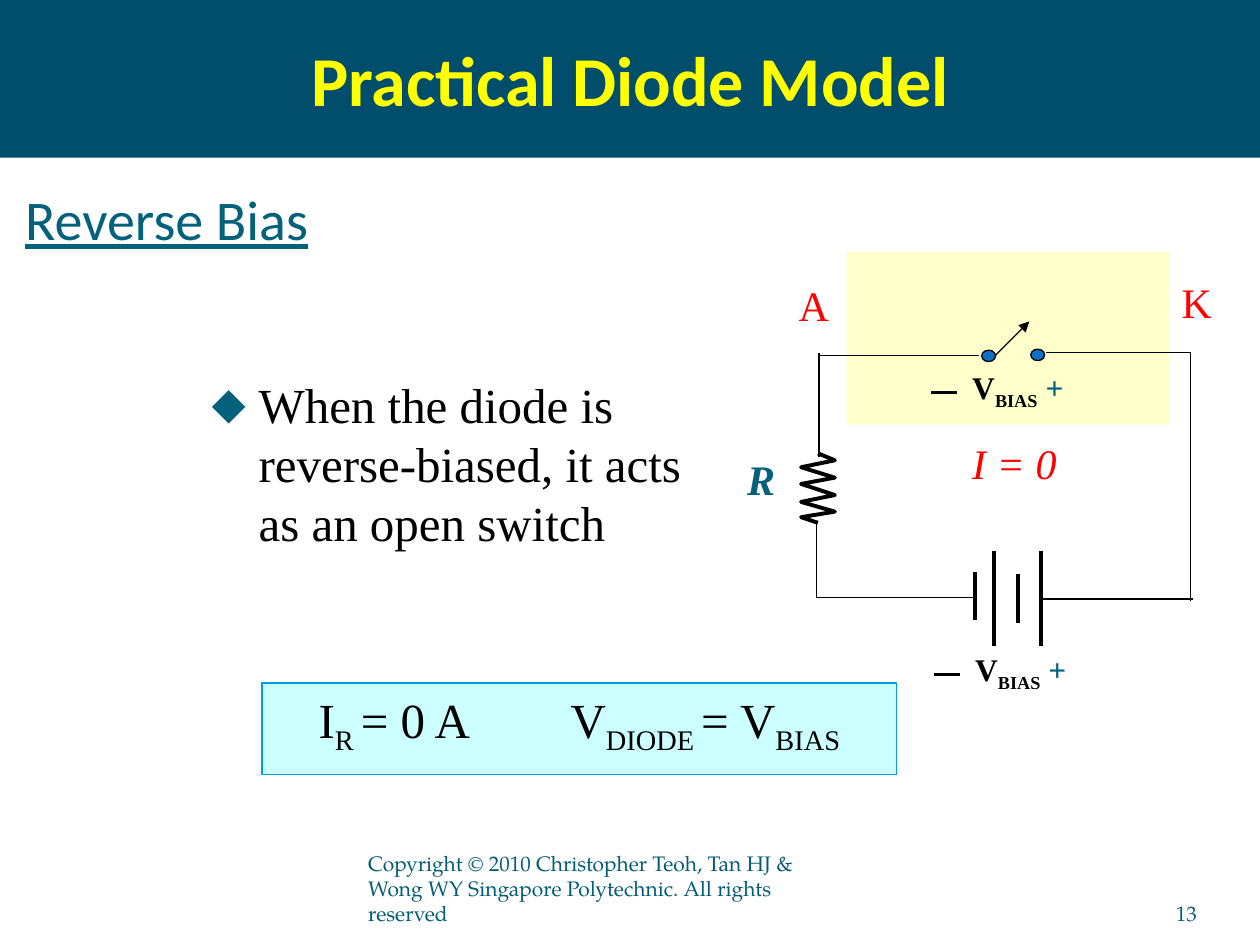
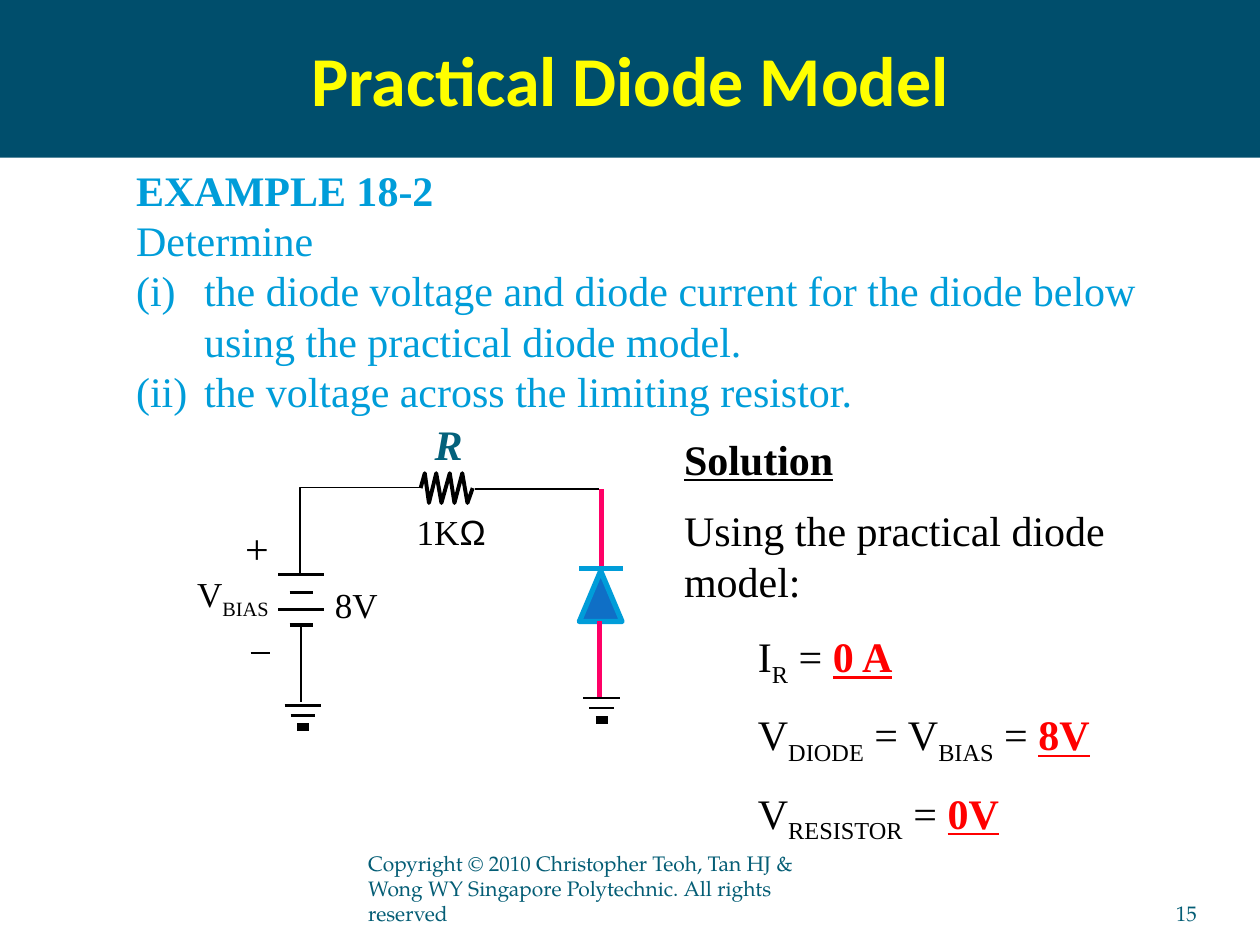
from lxml import etree
from pptx import Presentation
from pptx import util as u
from pptx.dml.color import RGBColor
from pptx.enum import shapes, text
from pptx.oxml.ns import qn

SERIF, SANS, FOOTER_FONT = "Times New Roman", "Calibri", "TeX Gyre Pagella"
BLACK, RED, YELLOW = "000000", "FF0000", "FFFF00"
BAND, TEAL, FOOTER_TEAL = "004E6C", "04617B", "045D75"
SKY, BLUE, PINK = "009DD9", "0F6FC6", "FF0066"
PALE_YELLOW, PALE_CYAN = "FFFFCC", "CCFFFF"

HEADING = "Practical Diode Model"
COPYRIGHT = ("Copyright © 2010 Christopher Teoh, Tan HJ & Wong WY "
             "Singapore Polytechnic. All rights reserved")
LEFT, CENTER, RIGHT = (text.PP_ALIGN.LEFT, text.PP_ALIGN.CENTER,
                       text.PP_ALIGN.RIGHT)
TOP, MIDDLE, BOTTOM = (text.MSO_ANCHOR.TOP, text.MSO_ANCHOR.MIDDLE,
                       text.MSO_ANCHOR.BOTTOM)
SUB = {"sub": True}
ANSWER = {"color": RED, "bold": True, "underline": True}
# Places along a resistor where its zigzag turns, as shares of its length
ZIGZAG = (0, 0.08, 0.16, 0.3, 0.4, 0.56, 0.65, 0.8, 0.9, 1)


def rgb(value):
    return RGBColor.from_string(value)


def cm(*lengths):
    return [u.Cm(length) for length in lengths]


def add_run(paragraph, wording, size=24, color=BLACK, font=SERIF, bold=False,
            italic=False, underline=False, sub=False):
    run = paragraph.add_run()
    run.text = wording
    run.font.size = u.Pt(size)
    run.font.name = font
    run.font.color.rgb = rgb(color)
    run.font.bold = bold
    run.font.italic = italic
    run.font.underline = underline
    if sub:
        run._r.get_or_add_rPr().set("baseline", "-25000")


def write(paragraph, parts, align=LEFT, before=0, **style):
    """Fill a paragraph; a part is a string or a (string, own style) pair."""
    paragraph.alignment = align
    paragraph.space_before = u.Pt(before)
    paragraph.space_after = u.Pt(0)
    for part in parts:
        wording, own = (part, {}) if isinstance(part, str) else part
        add_run(paragraph, wording, **{**style, **own})


def next_paragraph(frame):
    first = frame.paragraphs[0]
    return frame.add_paragraph() if first.runs else first


def set_indent(paragraph, left, first=0):
    props = paragraph._p.get_or_add_pPr()
    props.set("marL", str(u.Cm(left)))
    props.set("indent", str(u.Cm(first)))
    return props


def add_child(parent, tag, **attributes):
    return etree.SubElement(parent, qn(tag), attributes)


def place(shape, box):
    shape.left, shape.top, shape.width, shape.height = cm(*box)


def label(slide, box, parts, wrap=True, anchor=TOP, margins=None, **style):
    frame = slide.shapes.add_textbox(*cm(*box)).text_frame
    frame.word_wrap = wrap
    frame.auto_size = (text.MSO_AUTO_SIZE.NONE if wrap
                       else text.MSO_AUTO_SIZE.SHAPE_TO_FIT_TEXT)
    frame.vertical_anchor = anchor
    if margins:
        (frame.margin_left, frame.margin_top,
         frame.margin_right, frame.margin_bottom) = cm(*margins)
    if parts:
        write(frame.paragraphs[0], parts, **style)
    return frame


def preset(slide, kind, box, fill, line=None, width=0.75):
    shape = slide.shapes.add_shape(kind, *cm(*box))
    shape.shadow.inherit = False
    shape.fill.solid()
    shape.fill.fore_color.rgb = rgb(fill)
    if line:
        shape.line.color.rgb = rgb(line)
        shape.line.width = u.Pt(width)
    else:
        shape.line.fill.background()
    return shape


def wire(slide, x1, y1, x2, y2, width=0.75, color=BLACK, arrow=False):
    connector = slide.shapes.add_connector(
        shapes.MSO_CONNECTOR.STRAIGHT, *cm(x1, y1, x2, y2))
    connector.line.color.rgb = rgb(color)
    connector.line.width = u.Pt(width)
    if arrow:
        add_child(connector.line._get_or_add_ln(), "a:tailEnd",
                  type="triangle")
    add_child(connector._element.spPr, "a:effectLst")


def open_path(slide, points, width):
    start, *rest = [cm(*point) for point in points]
    builder = slide.shapes.build_freeform(*start)
    builder.add_line_segments(rest, close=False)
    path = builder.convert_to_shape()
    path.shadow.inherit = False
    path.fill.background()
    path.line.color.rgb = rgb(BLACK)
    path.line.width = u.Pt(width)


def resistor(slide, x1, y1, x2, y2, swing):
    """Draw a zigzag that first turns to the left of its direction."""
    length = abs(x2 - x1) + abs(y2 - y1)
    dx, dy = (x2 - x1) / length, (y2 - y1) / length
    points = []
    for i, share in enumerate(ZIGZAG):
        side = 0 if share in (0, 1) else swing if i % 2 else -swing
        along = share * length
        points.append((x1 + dx * along + dy * side,
                       y1 + dy * along - dx * side))
    open_path(slide, points, 2.25)


def resistor_name(slide, box):
    label(slide, box, ["R"], color=TEAL, bold=True, italic=True)


def bias_polarity(slide, x, y):
    """Write V BIAS with a plus after it and a minus bar before it."""
    label(slide, (x, y, 3.25, 1.02),
          ["V", ("BIAS", SUB), (" +", {"color": TEAL})], size=18, bold=True)
    wire(slide, x - 0.58, y + 0.62, x - 0.05, y + 0.62, 1.5)


def ground(slide, x, y):
    for drop, half, width in ((0, 0.37, 1.5), (0.2, 0.25, 1.5),
                              (0.44, 0.12, 4.5)):
        wire(slide, x - half, y + drop, x + half, y + drop, width)


def start_slide(prs, number):
    """Add a slide with the heading band and footers; return it and its body."""
    slide = prs.slides.add_slide(prs.slide_layouts[1])
    heading = slide.shapes.title
    place(heading, (0, 0, 25.4, 3.18))
    heading.fill.solid()
    heading.fill.fore_color.rgb = rgb(BAND)
    heading.text_frame.vertical_anchor = MIDDLE
    heading.text_frame.auto_size = text.MSO_AUTO_SIZE.NONE
    write(heading.text_frame.paragraphs[0], [HEADING], CENTER, size=40,
          color=YELLOW, font=SANS, bold=True)
    for box, wording, align in (((7.42, 17.65, 9.32, 1.02), COPYRIGHT, LEFT),
                                ((22.02, 17.65, 2.11, 1.02), number, RIGHT)):
        label(slide, box, [wording], anchor=BOTTOM, margins=(0, 0, 0, 0),
              align=align, size=12, color=FOOTER_TEAL, font=FOOTER_FONT)
    body = slide.placeholders[1]
    body.text_frame.auto_size = text.MSO_AUTO_SIZE.NONE
    body.text_frame.vertical_anchor = TOP
    return slide, body


def reverse_bias_circuit(slide):
    preset(slide, shapes.MSO_SHAPE.RECTANGLE, (17.07, 5.08, 6.5, 3.48),
           PALE_YELLOW)
    wire(slide, 20.98, 12.07, 24.05, 12.07, 1)
    wire(slide, 24, 7.11, 24, 12.12, 1)
    for x, top, bottom in ((19.66, 11.53, 12.5), (20.04, 11.1, 13.03),
                           (20.52, 11.58, 12.55), (20.98, 11.1, 13.03)):
        wire(slide, x, top, x, bottom, 2)
    wire(slide, 16.54, 7.16, 19.74, 7.16)
    wire(slide, 21.08, 7.11, 24, 7.11)
    for x, y in ((20.78, 7.04), (19.79, 7.06)):
        preset(slide, shapes.MSO_SHAPE.OVAL, (x, y, 0.28, 0.23), BLUE, BLACK)
    wire(slide, 20.07, 7.16, 20.75, 6.48, arrow=True)
    wire(slide, 16.51, 7.11, 16.51, 9.22, 1)
    resistor_name(slide, (14.81, 9.02, 1.27, 1.27))
    resistor(slide, 16.49, 10.54, 16.49, 9.14, 0.34)
    open_path(slide, [(16.46, 10.57), (16.46, 12.04), (19.61, 12.04)], 0.75)
    label(slide, (15.85, 5.51, 1.12, 1.27), ["A"], wrap=False, color=RED)
    label(slide, (23.57, 5.44, 1.12, 1.27), ["K"], wrap=False, color=RED)
    bias_polarity(slide, 19.41, 12.98)
    bias_polarity(slide, 19.35, 7.29)
    label(slide, (19.35, 8.69, 2.21, 1.27), ["I = 0"], wrap=False,
          color=RED, italic=True)


def reverse_bias_slide(prs):
    slide, body = start_slide(prs, "13")
    label(slide, (0.51, 3.43, 10.13, 1.65), ["Reverse Bias"], anchor=BOTTOM,
          margins=(0, 0.13, 0, 0), size=32, color=TEAL, font=SANS,
          underline=True)

    place(body, (4.01, 7.42, 10.36, 4.45))
    behaviour = body.text_frame.paragraphs[0]
    write(behaviour,
          ["When the diode is reverse-biased, it acts as an open switch"],
          size=28)
    props = set_indent(behaviour, 0.95, -0.95)
    add_child(add_child(props, "a:buClr"), "a:srgbClr", val=TEAL)
    add_child(props, "a:buChar", char="⬥")

    result = preset(slide, shapes.MSO_SHAPE.RECTANGLE,
                    (5.28, 13.77, 12.8, 1.85), PALE_CYAN, SKY).text_frame
    result.vertical_anchor = TOP
    formula = result.paragraphs[0]
    write(formula, ["I", ("R ", SUB), "= 0 A\tV", ("DIODE ", SUB), "= V",
                    ("BIAS", SUB)], CENTER, size=28)
    tabs = add_child(formula._p.get_or_add_pPr(), "a:tabLst")
    add_child(tabs, "a:tab", pos=str(u.Cm(5.08)), algn="l")

    reverse_bias_circuit(slide)


def example_circuit(slide):
    resistor_name(slide, (8.51, 8.31, 1.02, 1.27))
    preset(slide, shapes.MSO_SHAPE.ISOSCELES_TRIANGLE,
           (11.68, 11.51, 0.86, 1.02), BLUE, SKY, 3)
    wire(slide, 12.55, 11.46, 11.68, 11.46, 3, SKY)
    wire(slide, 12.12, 11.4, 12.12, 9.86, 3, PINK)
    wire(slide, 12.09, 14.1, 12.09, 12.52, 3, PINK)
    for y, half in ((11.58, 0.46), (11.94, 0.23), (12.29, 0.46), (12.6, 0.23)):
        wire(slide, 6.07 - half, y, 6.07 + half, y, 2)
    resistor(slide, 8.48, 9.84, 9.53, 9.84, 0.3)
    open_path(slide, [(6.05, 11.56), (6.05, 9.83), (8.46, 9.83)], 1)
    wire(slide, 9.58, 9.86, 12.07, 9.86)
    wire(slide, 6.07, 12.6, 6.07, 14.15)
    ground(slide, 6.11, 14.22)
    ground(slide, 12.13, 14.07)
    label(slide, (6.5, 11.63, 1.37, 1.09), ["8V"], wrap=False, size=20)
    source = label(slide, (3.61, 10.41, 2.06, 3.12), ["+"], align=RIGHT)
    write(source.add_paragraph(), ["V", ("BIAS", SUB)], RIGHT, size=20)
    wire(slide, 5.05, 13.16, 5.44, 13.16, 1.5)
    label(slide, (8.15, 10.16, 1.93, 1.09), ["1K", ("Ω", {"font": "Arial"})],
          wrap=False, size=20)


def example_slide(prs):
    slide, body = start_slide(prs, "15")
    place(body, (2.49, 3.18, 21.59, 5.33))
    for wording, bold, numbered in (
            ("EXAMPLE 18-2", True, False),
            ("Determine", False, False),
            ("the diode voltage and diode current for the diode below "
             "using the practical diode model.", False, True),
            ("the voltage across the limiting resistor.", False, True)):
        line = next_paragraph(body.text_frame)
        write(line, [wording], color=SKY, bold=bold)
        props = set_indent(line, 1.37, -1.37)
        if numbered:
            add_child(props, "a:buFont", typeface=SERIF)
            add_child(props, "a:buAutoNum", type="romanLcParenBoth")
        else:
            add_child(props, "a:buNone")

    example_circuit(slide)

    solution = label(slide, (13.54, 8.61, 10.19, 8.2), [])
    for parts, before, indent in (
            ([("Solution", {"bold": True, "underline": True})], 0, 0),
            (["Using the practical diode model:"], 12, 0),
            (["I", ("R", SUB), " = ", ("0 A", ANSWER)], 14.4, 1.49),
            (["V", ("DIODE", SUB), " = V", ("BIAS", SUB), " = ",
              ("8V", ANSWER)], 12, 1.49),
            (["V", ("RESISTOR", SUB), " = ", ("0V", ANSWER)], 12, 1.49)):
        step = next_paragraph(solution)
        write(step, parts, before=before)
        set_indent(step, indent)


def main():
    prs = Presentation()
    prs.slide_width, prs.slide_height = cm(25.4, 19.05)
    reverse_bias_slide(prs)
    example_slide(prs)
    prs.save("out.pptx")


if __name__ == "__main__":
    main()
